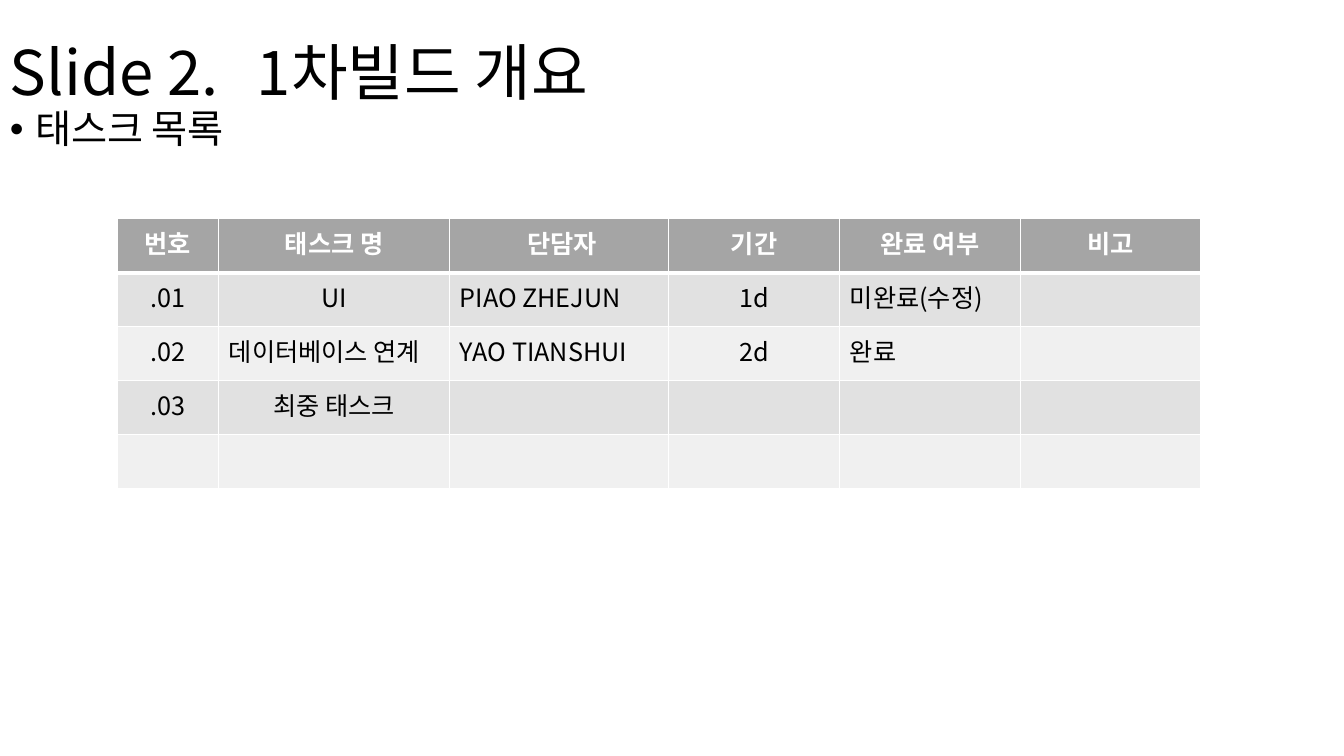
from dataclasses import dataclass

from lxml import etree
from pptx import Presentation
from pptx.dml.color import RGBColor
from pptx.enum.text import MSO_ANCHOR, PP_ALIGN
from pptx.oxml.ns import qn
from pptx.util import Inches, Pt

MIDDLE, TOP = MSO_ANCHOR.MIDDLE, MSO_ANCHOR.TOP
CENTER, LEFT = PP_ALIGN.CENTER, PP_ALIGN.LEFT


@dataclass(frozen=True)
class Theme:
    font: str = "Noto Sans CJK SC"
    text: str = "000000"
    white: str = "FFFFFF"
    header: str = "A5A5A5"
    bands: tuple = ("E1E1E1", "F0F0F0")
    title_size: int = 44
    body_size: int = 28
    table_size: int = 18
    line: int = 1
    header_line: int = 3


THEME = Theme()

COLUMN_WIDTHS = (1.01, 2.29, 2.17, 1.7, 1.79, 1.79)
HEADINGS = ("번호", "태스크 명", " 단담자", "기간", "완료 여부", "비고")
TASKS = (
    (".01", "UI", "PIAO ZHEJUN", "1d", "미완료(수정)", ""),
    (".02", "데이터베이스 연계", "YAO TIANSHUI", "2d", "완료", ""),
    (".03", "최중 태스크", "", "", "", ""),
    ("", "", "", "", "", ""),
)
LEFT_COLUMNS = (2, 4)
LEFT_CELLS = ((2, 1),)


def style_runs(para, size, color, bold=False):
    for span in para.runs:
        font = span.font
        font.name, font.size, font.bold = THEME.font, Pt(size), bold
        font.color.rgb = RGBColor.from_string(color)
        east_asian = etree.SubElement(font._element, qn("a:ea"))
        east_asian.set("typeface", THEME.font)


def add_text(page, box, text, size, anchor):
    """Add a one-paragraph text box and return its paragraph."""
    frame = page.shapes.add_textbox(*map(Inches, box)).text_frame
    frame.word_wrap = True
    frame.vertical_anchor = anchor
    para = frame.paragraphs[0]
    para.text = text
    para.line_spacing = 0.9
    style_runs(para, size, THEME.text)
    return para


def add_title(page, box):
    para = add_text(page, box, "Slide 2.\t1차빌드 개요", THEME.title_size, MIDDLE)
    tabs = etree.SubElement(para._p.get_or_add_pPr(), qn("a:tabLst"))
    etree.SubElement(tabs, qn("a:tab"), pos=str(Inches(2.45)), algn="l")


def add_bullet(page, box):
    para = add_text(page, box, "태스크 목록", THEME.body_size, TOP)
    para.space_before = Pt(10)
    properties = para._p.get_or_add_pPr()
    properties.set("marL", str(Inches(0.25)))
    properties.set("indent", str(Inches(-0.25)))
    etree.SubElement(properties, qn("a:buFont"), typeface="Arial")
    etree.SubElement(properties, qn("a:buChar"), char="•")


def set_borders(cell, widths):
    """Draw white borders; widths are points for left, right, top, bottom."""
    properties = cell._tc.get_or_add_tcPr()
    for index, (side, width) in enumerate(zip("LRTB", widths)):
        line = etree.Element(qn(f"a:ln{side}"), w=str(Pt(width)))
        fill = etree.SubElement(line, qn("a:solidFill"))
        etree.SubElement(fill, qn("a:srgbClr"), val=THEME.white)
        properties.insert(index, line)


def fill_cell(cell, text, row, column):
    is_header = row == 0
    fill = THEME.header if is_header else THEME.bands[(row - 1) % 2]
    cell.fill.solid()
    cell.fill.fore_color.rgb = RGBColor.from_string(fill)
    top = THEME.header_line if row == 1 else THEME.line
    bottom = THEME.header_line if is_header else THEME.line
    set_borders(cell, (THEME.line, THEME.line, top, bottom))
    if not text:
        return
    para = cell.text_frame.paragraphs[0]
    para.text = text
    at_left = not is_header and (column in LEFT_COLUMNS or (row, column) in LEFT_CELLS)
    para.alignment = LEFT if at_left else CENTER
    style_runs(para, THEME.table_size, THEME.white if is_header else THEME.text, is_header)


def add_task_table(page, box):
    rows = (HEADINGS, *TASKS)
    left, top, width, height = map(Inches, box)
    table = page.shapes.add_table(len(rows), len(HEADINGS), left, top, width, height).table
    for column, share in zip(table.columns, COLUMN_WIDTHS):
        column.width = int(width * share / sum(COLUMN_WIDTHS))
    for row, texts in enumerate(rows):
        for column, text in enumerate(texts):
            fill_cell(table.cell(row, column), text, row, column)


def main():
    deck = Presentation()
    deck.slide_width, deck.slide_height = Inches(13.33), Inches(7.5)
    page = deck.slides.add_slide(deck.slide_layouts[6])
    add_title(page, (0, 0.02, 11.5, 1.45))
    add_bullet(page, (0, 1.04, 11.5, 4.76))
    add_task_table(page, (1.16, 2.17, 10.75, 2.68))
    deck.save("out.pptx")


if __name__ == "__main__":
    main()
